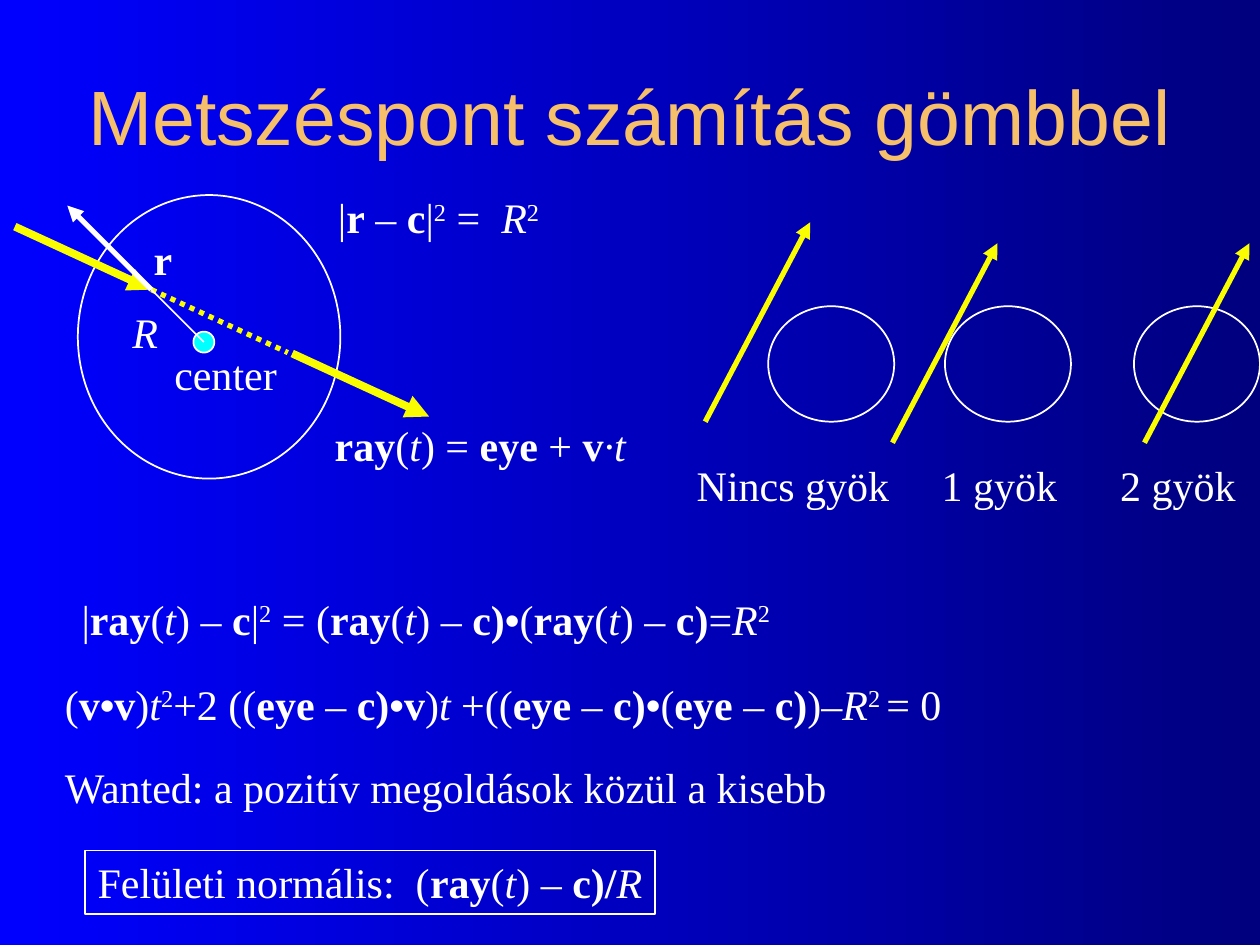
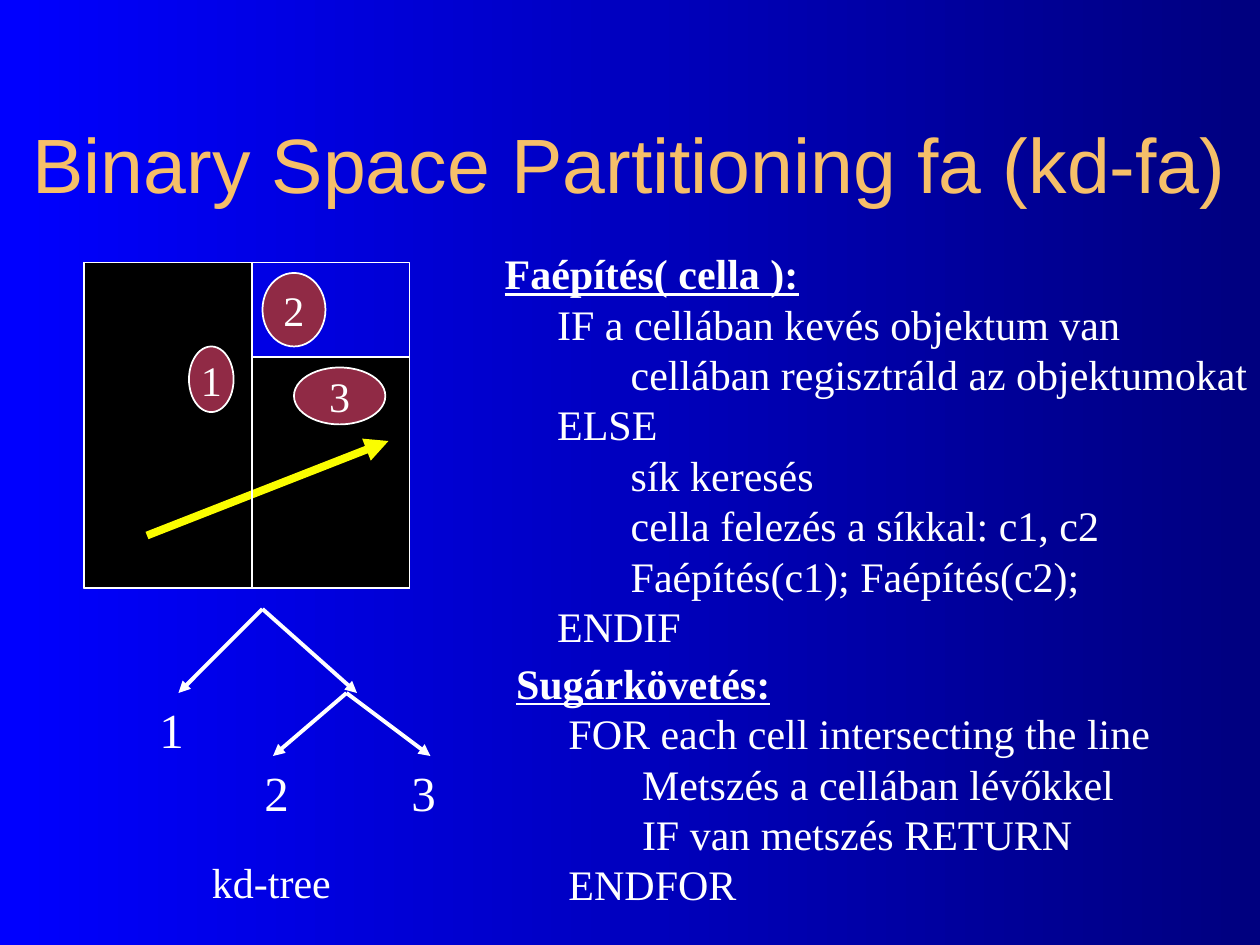
from dataclasses import dataclass
from typing import Optional

import pptx
import pptx.dml.color
import pptx.enum.dml
import pptx.enum.shapes
import pptx.enum.text
import pptx.oxml
import pptx.oxml.ns
import pptx.util

Pt = pptx.util.Pt
RGBColor = pptx.dml.color.RGBColor
qn = pptx.oxml.ns.qn
SHAPES = pptx.enum.shapes.MSO_SHAPE
ALIGN = pptx.enum.text.PP_ALIGN
ANCHOR = pptx.enum.text.MSO_ANCHOR

BLUE = RGBColor(0x00, 0x00, 0xFF)
NAVY = RGBColor(0x00, 0x00, 0x7F)
GOLD = RGBColor(0xF6, 0xBF, 0x69)
WHITE = RGBColor(0xFF, 0xFF, 0xFF)
BLACK = RGBColor(0x00, 0x00, 0x00)
YELLOW = RGBColor(0xFA, 0xFD, 0x00)
CYAN = RGBColor(0x00, 0xFF, 0xFF)
WINE = RGBColor(0x90, 0x2A, 0x45)

TITLE_FONT = "Arial"
BODY_FONT = "Times New Roman"
MARKS = "*_^~"  # bold, italic, superscript, underline
Point = tuple[float, float]


@dataclass
class Line:
    """One paragraph, with its text marked up by MARKS."""
    text: str
    indent: float = 0
    space_before: float = 0
    tabs: tuple[float, ...] = ()


@dataclass
class Label:
    lines: list[Line]
    left: float
    top: float
    width: float
    height: float = 36
    size: float = 24


@dataclass
class Outline:
    left: float
    top: float
    width: float
    height: float
    fill: Optional[RGBColor] = None
    caption: str = ""
    kind: SHAPES = SHAPES.OVAL


@dataclass
class Segment:
    start: Point
    end: Point
    color: RGBColor = WHITE
    weight: float = 1
    arrow: bool = False
    dotted: bool = False


@dataclass
class RootCase:
    circle_left: float
    ray_left: float
    ray_bottom: float


def add_marked_runs(paragraph, text: str, size: float) -> None:
    """Split the text at MARKS, each of which switches its style on or off."""
    active: set[str] = set()
    pieces: list[tuple[str, frozenset[str]]] = []
    for char in text:
        if char in MARKS:
            active ^= {char}
        elif pieces and pieces[-1][1] == active and "•" not in (char, pieces[-1][0]):
            pieces[-1] = (pieces[-1][0] + char, pieces[-1][1])
        else:
            pieces.append((char, frozenset(active)))
    for piece, styles in pieces:
        run = paragraph.add_run()
        run.text = piece
        run.font.size = Pt(size)
        run.font.name = TITLE_FONT if piece == "•" else BODY_FONT
        run.font.color.rgb = WHITE
        run.font.bold = "*" in styles
        run.font.italic = "_" in styles
        run.font.underline = "~" in styles
        if "^" in styles:
            run._r.get_or_add_rPr().set("baseline", "30000")


def write_lines(frame, lines: list[Line], size: float) -> None:
    for number, line in enumerate(lines):
        paragraph = frame.add_paragraph() if number else frame.paragraphs[0]
        paragraph.alignment = ALIGN.LEFT
        properties = paragraph._p.get_or_add_pPr()
        if line.indent:
            properties.set("marL", str(Pt(line.indent)))
            properties.set("indent", "0")
        if line.tabs:
            stops = pptx.oxml.parse_xml(
                '<a:tabLst xmlns:a="http://schemas.openxmlformats.org/drawingml/2006/main"/>')
            for position in line.tabs:
                stop = stops.makeelement(qn("a:tab"), {"pos": str(Pt(position)), "algn": "l"})
                stops.append(stop)
            properties.append(stops)
        if line.space_before:
            paragraph.space_before = Pt(line.space_before)
        add_marked_runs(paragraph, line.text, size)


def add_title(slide, text: str, top: float) -> None:
    frame = slide.shapes.add_textbox(0, Pt(top), Pt(720), Pt(90)).text_frame
    frame.word_wrap = True
    frame.vertical_anchor = ANCHOR.MIDDLE
    frame.text = text
    heading = frame.paragraphs[0]
    heading.alignment = ALIGN.CENTER
    font = heading.runs[0].font
    font.size, font.name, font.color.rgb = Pt(44), TITLE_FONT, GOLD


def add_label(slide, label: Label) -> None:
    """Draw a text box whose text may run up to its right edge."""
    box = slide.shapes.add_textbox(
        Pt(label.left), Pt(label.top), Pt(label.width), Pt(label.height))
    frame = box.text_frame
    frame.word_wrap = True
    frame.margin_right = 0
    write_lines(frame, label.lines, label.size)


def paint(shape, fill: Optional[RGBColor]) -> None:
    shape.shadow.inherit = False
    if fill is None:
        shape.fill.background()
    else:
        shape.fill.solid()
        shape.fill.fore_color.rgb = fill
    shape.line.color.rgb = WHITE
    shape.line.width = Pt(1)


def add_outline(slide, outline: Outline) -> None:
    shape = slide.shapes.add_shape(
        outline.kind, Pt(outline.left), Pt(outline.top), Pt(outline.width), Pt(outline.height))
    paint(shape, outline.fill)
    if outline.caption:
        frame = shape.text_frame
        frame.word_wrap = False
        frame.vertical_anchor = ANCHOR.MIDDLE
        write_lines(frame, [Line(outline.caption)], 24)
        frame.paragraphs[0].alignment = ALIGN.CENTER


def add_segment(slide, segment: Segment) -> None:
    connector = slide.shapes.add_connector(
        pptx.enum.shapes.MSO_CONNECTOR.STRAIGHT, *map(Pt, segment.start + segment.end))
    connector.line.color.rgb = segment.color
    connector.line.width = Pt(segment.weight)
    if segment.dotted:
        connector.line.dash_style = pptx.enum.dml.MSO_LINE.ROUND_DOT
        connector.line._ln.find(qn("a:prstDash")).set("val", "sysDot")
    properties = connector._element.spPr
    if segment.arrow:
        stroke = properties.find(qn("a:ln"))
        stroke.append(stroke.makeelement(qn("a:tailEnd"), {"type": "triangle"}))
    properties.append(properties.makeelement(qn("a:effectLst"), {}))


def build_sphere_slide(slide) -> None:
    add_title(slide, "Metszéspont számítás gömbbel", 20.4)

    hit, center = (86.5, 165.5), (116.5, 195.5)
    add_outline(slide, Outline(44.5, 111.5, 150, 162))
    for segment in (
        Segment((8.5, 129.5), hit, YELLOW, 4.5, arrow=True),
        Segment((167, 202), (245.2, 238), YELLOW, 4.5, arrow=True),
        Segment(hit, (164.5, 201.5), YELLOW, 3, dotted=True),
    ):
        add_segment(slide, segment)
    add_outline(slide, Outline(110.5, 189.5, 12, 12, CYAN))
    add_segment(slide, Segment(hit, center))
    add_segment(slide, Segment(hit, (38.5, 117.5), WHITE, 3, arrow=True))

    for case in (RootCase(439, 403, 241), RootCase(540, 510, 253), RootCase(648, 654, 253)):
        add_outline(slide, Outline(case.circle_left, 175, 72, 66))
        tip = (case.ray_left + 60, case.ray_bottom - 114)
        add_segment(slide, Segment((case.ray_left, case.ray_bottom), tip, YELLOW, 3, arrow=True))

    quadratic = ("(*v*•*v*)_t_^2^+2 ((*eye *– *c)*•*v*)_t _+((*eye *– *c)*•"
                 "(*eye *– *c)*)–_R_^2 ^= 0")
    for label in (
        Label([Line("center")], 92.5, 195.6, 73),
        Label([Line("_R_")], 68.5, 171.5, 29),
        Label([Line("*r*")], 80.7, 129.9, 25),
        Label([Line("|*r* – *c*|^2^ =  _R_^2^")], 186, 106, 129.5),
        Label([Line("*ray*(_t_) = *eye* + *v*_·t_")], 184.2, 236, 181),
        Label([Line("Nincs gyök\t1 gyök\t2 gyök", tabs=(140, 242))], 391, 258.8, 322.5),
        Label([Line("|*ray*(_t_) – *c*|^2^ = (*ray*(_t_) – *c)*•(*ray*(_t_) – *c)*=_R_^2^")],
              39.5, 335.5, 409),
        Label([Line(quadratic),
               Line("Wanted: a pozitív megoldások közül a kisebb", space_before=19)],
              30, 384, 690, 84),
    ):
        add_label(slide, label)

    add_outline(slide, Outline(48.5, 486, 326, 36.3, kind=SHAPES.RECTANGLE))
    add_label(slide, Label([Line("Felületi normális:  (*ray*(_t_) – *c)/*_R_")], 48.7, 486, 326))


def build_kd_tree_slide(slide) -> None:
    add_title(slide, "Binary Space Partitioning fa (kd-fa)", 48)

    inner, deep = 30, 72
    add_label(slide, Label([
        Line("*~Faépítés( cella ):~*"),
        Line("IF a cellában kevés objektum van", inner),
        Line("cellában regisztráld az objektumokat", deep),
        Line("ELSE", inner),
        Line("sík keresés", deep),
        Line("cella felezés a síkkal: c1, c2", deep),
        Line("Faépítés(c1); Faépítés(c2);", deep),
        Line("ENDIF", inner),
    ], 281.3, 138, 438.5, 237.5))
    add_label(slide, Label([
        Line("*~Sugárkövetés:~*"),
        Line("FOR each cell intersecting the line", inner),
        Line("Metszés a cellában lévőkkel", deep),
        Line("IF van metszés RETURN", deep),
        Line("ENDFOR", inner),
    ], 287.8, 372, 376.5, 151))

    left, top, side = 48, 150, 186
    right, bottom = left + side, top + side
    split_x, split_y = 144, 204
    builder = slide.shapes.build_freeform(left, bottom, scale=Pt(1))
    builder.add_line_segments([(left, top), (split_x, top), (split_x, split_y),
                               (right, split_y), (right, bottom)], close=True)
    paint(builder.convert_to_shape(), BLACK)
    add_segment(slide, Segment((84, 306), (222, 252), YELLOW, 4.5, arrow=True))
    add_segment(slide, Segment((51, top), (213, top)))
    add_outline(slide, Outline(left, top, side, side, kind=SHAPES.RECTANGLE))
    for scene_object in (
        Outline(150, 156, 36, 42, WINE, "2"),
        Outline(108, 198, 25.5, 37.5, WINE, "1"),
        Outline(168, 210, 52.2, 32.5, WINE, "3"),
    ):
        add_outline(slide, scene_object)
    add_segment(slide, Segment((split_x, top), (split_x, bottom)))
    add_segment(slide, Segment((split_x, split_y), (right, split_y)))

    root, branch = (150, 348), (198, 396)
    for parent, child in ((root, (102, 396)), (root, (204, 396)),
                          (branch, (156, 432)), (branch, (246, 432))):
        add_segment(slide, Segment(parent, child, weight=2.25, arrow=True))
    for leaf, leaf_left, leaf_top in (("1", 84, 396), ("2", 144, 432), ("3", 228, 432)):
        add_label(slide, Label([Line(leaf)], leaf_left, leaf_top, 28.5, 41, 28))
    add_label(slide, Label([Line("kd-tree")], 114, 486, 82))


def main() -> None:
    deck = pptx.Presentation()
    deck.slide_width, deck.slide_height = Pt(720), Pt(540)
    backdrop = deck.slide_master.background.fill
    backdrop.gradient()
    backdrop.gradient_angle = 0
    for stop, color in zip(backdrop.gradient_stops, (BLUE, NAVY)):
        stop.color.rgb = color
    blank = deck.slide_layouts[6]
    for build in (build_sphere_slide, build_kd_tree_slide):
        build(deck.slides.add_slide(blank))
    deck.save("out.pptx")


if __name__ == "__main__":
    main()
